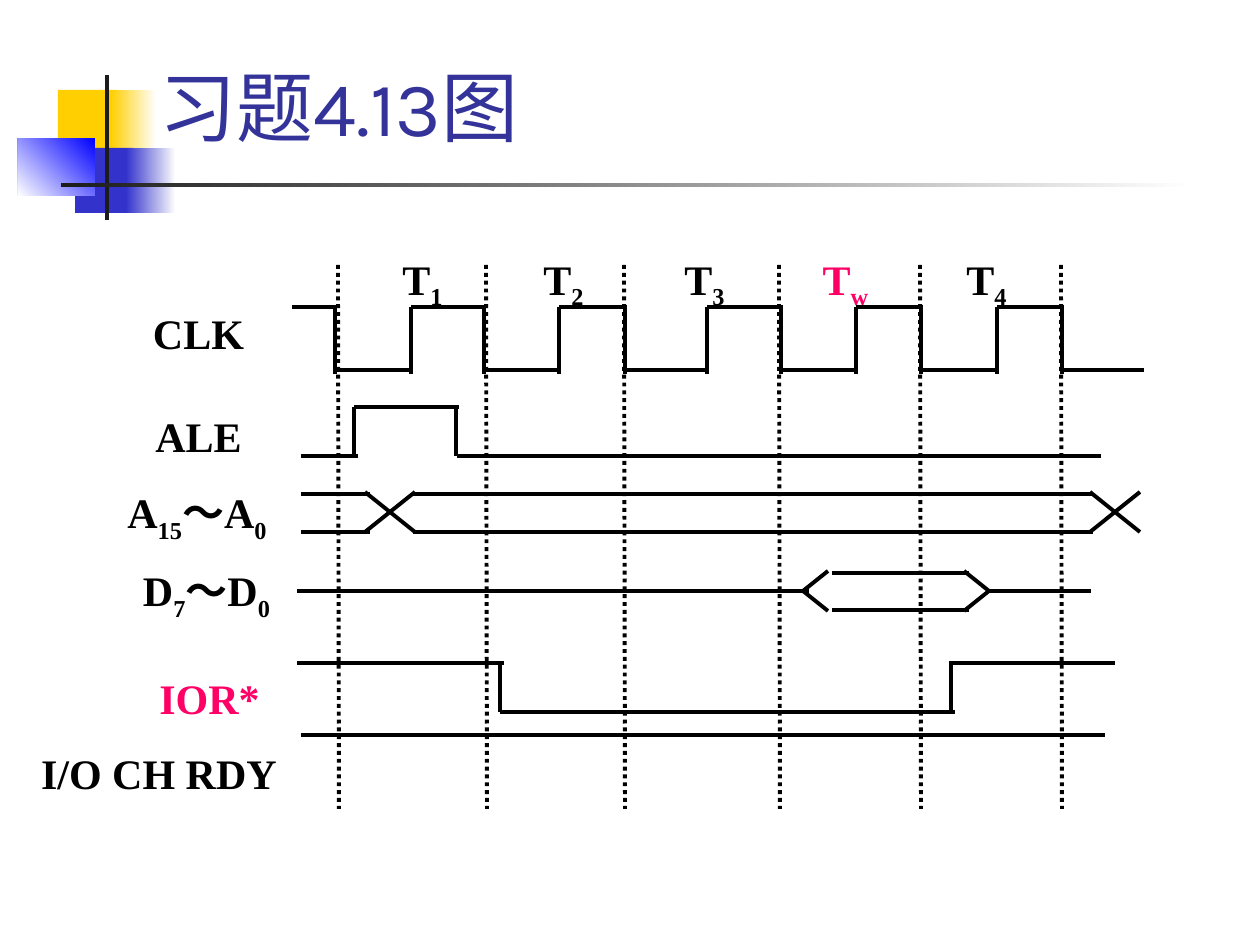
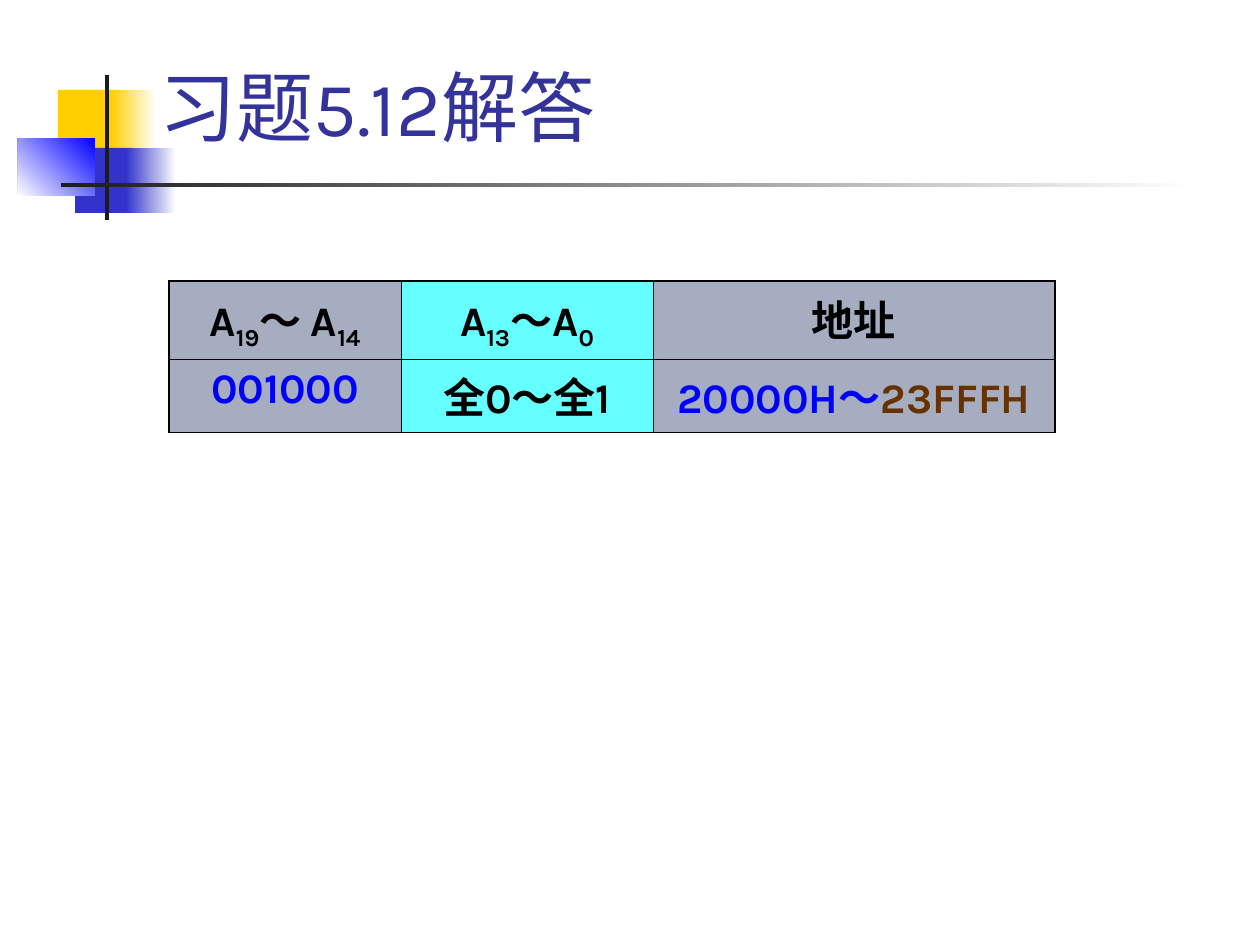
from lxml import etree
from pptx import Presentation
from pptx.dml.color import RGBColor
from pptx.enum.dml import MSO_LINE
from pptx.enum.shapes import MSO_CONNECTOR, MSO_SHAPE
from pptx.enum.text import MSO_ANCHOR, MSO_AUTO_SIZE, PP_ALIGN
from pptx.oxml.ns import qn
from pptx.util import Pt

RECT = MSO_SHAPE.RECTANGLE
STRAIGHT = MSO_CONNECTOR.STRAIGHT
DOTS = MSO_LINE.ROUND_DOT
LEFT, CENTER = PP_ALIGN.LEFT, PP_ALIGN.CENTER
BOTTOM = MSO_ANCHOR.BOTTOM
FIXED = MSO_AUTO_SIZE.NONE

BLACK, WHITE, INK = "000000", "FFFFFF", "1C1C1C"
NAVY, BLUE, INDIGO, GOLD = "333399", "0000FF", "3333CC", "FFCF01"
PINK, BROWN, GREY, CYAN = "FF0066", "663300", "A6ADC0", "66FFFF"
SANS, SERIF = "Karla", "Times New Roman"


def px(n):
    """Pixels at 126 to the inch, as EMU."""
    return round(n * 914400 / 126)


def rgb(code):
    return RGBColor.from_string(code)


def write(para, parts, face, size, bold=False, align=CENTER):
    """Fill a paragraph from (text, colour) parts; _x_ marks a subscript."""
    para.alignment = align
    base = parts[0][1]
    font = para.font
    font.name, font.size, font.bold = face, Pt(size), bold
    font.color.rgb = rgb(base)
    for text, color in parts:
        for i, bit in enumerate(text.split("_")):
            if not bit:
                continue
            run = para.add_run()
            run.text = bit
            if i % 2:
                run.font._element.set("baseline", "-25000")
            if color != base:
                run.font.color.rgb = rgb(color)


# Shared title and ornament
def add_bar(slide, box, color, end=None, angle=180):
    bar = slide.shapes.add_shape(RECT, *map(px, box))
    bar.shadow.inherit = False
    bar.line.fill.background()
    if end is None:
        bar.fill.solid()
        bar.fill.fore_color.rgb = rgb(color)
        return
    bar.fill.gradient()
    bar.fill.gradient_angle = 360 - angle
    for stop, code in zip(bar.fill.gradient_stops, (color, end)):
        stop.color.rgb = rgb(code)


def add_mark(slide, x, y):
    add_bar(slide, (x + 40, y + 15, 60, 65), GOLD)
    add_bar(slide, (x + 93, y + 15, 45, 65), WHITE, GOLD)
    add_bar(slide, (x + 57, y + 73, 58, 65), INDIGO)
    add_bar(slide, (x + 108, y + 73, 50, 65), WHITE, INDIGO)
    add_bar(slide, (x, y + 63, 77, 58), BLUE, WHITE, 135)
    add_bar(slide, (x + 87, y, 4, 145), INK)
    add_bar(slide, (x + 43, y + 108, 1134, 4), WHITE, INK)


def add_page(deck, text):
    slide = deck.slides.add_slide(deck.slide_layouts[5])
    add_mark(slide, 18, 75)
    title = slide.shapes.title
    title.left, title.top, title.width, title.height = map(
        px, (147, 42, 1074, 116))
    frame = title.text_frame
    frame.auto_size = FIXED
    frame.vertical_anchor = BOTTOM
    write(frame.paragraphs[0], [(text, NAVY)], SANS, 44, align=LEFT)
    return slide


# Timing diagram
def add_label(slide, box, text, color=BLACK):
    frame = slide.shapes.add_textbox(*map(px, box)).text_frame
    frame.word_wrap = True
    frame.margin_left = frame.margin_right = px(1)
    frame.margin_top = frame.margin_bottom = px(1)
    write(frame.paragraphs[0], [(text, color)], SERIF, 24, True)


def add_line(slide, ends, dash=None):
    line = slide.shapes.add_connector(STRAIGHT, *map(px, ends))
    etree.SubElement(line._element.spPr, qn("a:effectLst"))
    line.line.color.rgb = rgb(BLACK)
    line.line.width = Pt(2.25)
    if dash:
        line.line.dash_style = dash


def clock():
    high, low, foot = 55, 118, 122
    falls = [335, 484, 625, 781, 921, 1062]
    rises = [411, 559, 707, 856, 997]
    lines = [(x, high, x, foot) for x in falls + rises]
    lines += [(a, high, b + 2, high)
              for a, b in zip([292] + rises, falls)]
    lines += [(a, low, b, low) for a, b in zip(falls, rises + [1144])]
    return lines


def latch():
    high, low = 155, 204
    return [(301, low, 358, low), (354, low, 354, high),
            (354, high, 459, high), (456, low, 456, high),
            (457, low, 1101, low)]


def tip(x, mid, side):
    """Two strokes that meet at x and open to one side."""
    return [(x + 25 * side, mid + dy, x, mid) for dy in (-20, 20)]


def address():
    lines = [(a, y, b, y) for y in (242, 280)
             for a, b in ((301, 370), (413, 1093))]
    for x in (390, 1115):
        lines += tip(x, 260, -1) + tip(x, 260, 1)
    return lines


def data():
    mid = 339
    lines = [(832, y, 969, y) for y in (321, 358)]
    lines += tip(803, mid, 1) + tip(989, mid, -1)
    return lines + [(297, mid, 809, mid), (989, mid, 1091, mid)]


def read():
    high, low = 411, 460
    return [(297, high, 504, high), (500, high, 500, low),
            (500, low, 955, low), (951, high, 951, low),
            (949, high, 1115, high)]


def add_timing(slide, x, y):
    # State borders and names
    for n in (338, 486, 624, 779, 920, 1061):
        add_line(slide, (x + n, y + 13, x + n + 1, y + 557), DOTS)
    for i, sub in enumerate("123w4"):
        add_label(slide, (x + 349 + 141 * i, y, 147, 67), f"T_{sub}_",
                  PINK if sub == "w" else BLACK)
    # Signal names
    for text, left, top, width, color in (
            ("CLK", 106, 55, 185, BLACK),
            ("ALE", 106, 158, 185, BLACK),
            ("A_15_～A_0_", 52, 234, 290, BLACK),
            ("D_7_～D_0_", 81, 312, 251, BLACK),
            ("IOR*", 84, 420, 251, PINK),
            ("I/O CH RDY", 0, 495, 318, BLACK)):
        add_label(slide, (x + left, y + top, width, 60), text, color)
    # Signal traces
    ready = [(301, 483, 1105, 483)]
    for a, b, c, d in (clock() + latch() + address() + data()
                       + read() + ready):
        add_line(slide, (x + a, y + b, x + c, y + d))


# Address table
def add_edge(cell, side, width):
    line = etree.SubElement(cell._tc.get_or_add_tcPr(),
                            qn(f"a:ln{side}"), w=str(Pt(width)))
    fill = etree.SubElement(line, qn("a:solidFill"))
    etree.SubElement(fill, qn("a:srgbClr"), val=BLACK)


def add_grid(slide, x, y):
    rows = [
        [[("A_19_～ A_14_", BLACK)], [("A_13_～A_0_", BLACK)],
         [("地址", BLACK)]],
        [[("001000", BLUE)], [("全0～全1", BLACK)],
         [("20000H～", BLUE), ("23FFFH", BROWN)]],
    ]
    widths, heights = (232, 252, 402), (70, 63)
    table = slide.shapes.add_table(
        2, 3, px(x), px(y), px(sum(widths)), px(sum(heights))).table
    table.first_row = table.horz_banding = False
    for col, width in zip(table.columns, widths):
        col.width = px(width)
    for r, row in enumerate(rows):
        table.rows[r].height = px(heights[r])
        for c, parts in enumerate(row):
            cell = table.cell(r, c)
            outer = {"L": c == 0, "R": c == 2, "T": r == 0, "B": r == 1}
            for side, edge in outer.items():
                add_edge(cell, side, 1.08 if edge else 0.45)
            cell.fill.solid()
            cell.fill.fore_color.rgb = rgb(CYAN if c == 1 else GREY)
            write(cell.text_frame.paragraphs[0], parts, SANS, 24, True)


def main():
    deck = Presentation()
    deck.slide_width, deck.slide_height = px(1260), px(945)
    add_timing(add_page(deck, "习题4.13图"), 0, 252)
    add_grid(add_page(deck, "习题5.12解答"), 169, 281)
    deck.save("out.pptx")


if __name__ == "__main__":
    main()
